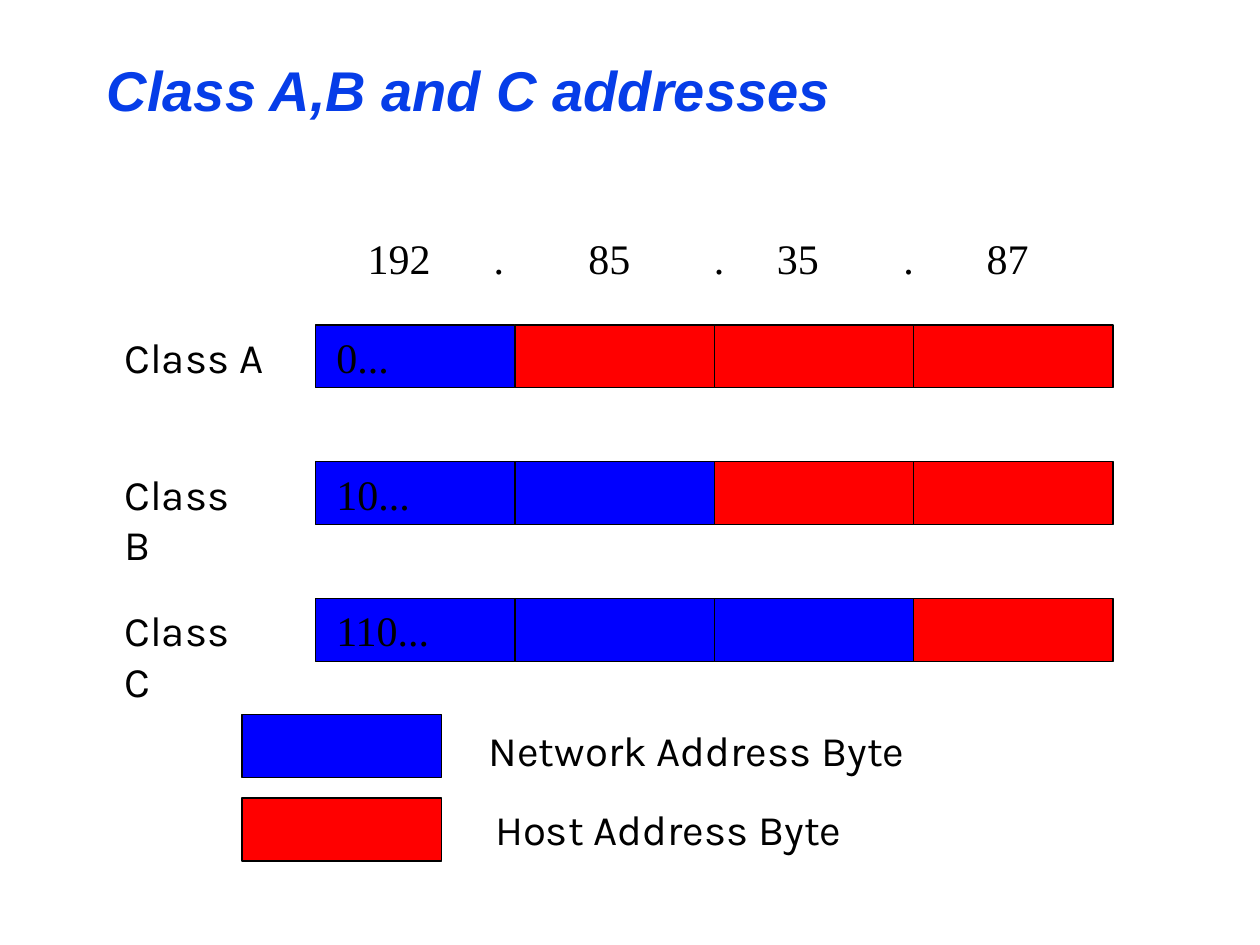
import pptx
import pptx.util
from pptx.dml.color import RGBColor
from pptx.enum.shapes import MSO_SHAPE
from pptx.enum.text import MSO_ANCHOR, PP_ALIGN
from pptx.oxml.xmlchemy import OxmlElement

Cm, Pt = pptx.util.Cm, pptx.util.Pt

# Content
TITLE = "Class A,B and C addresses"
ADDRESS = ["192", ".", "85", ".", "35", ".", "87"]
CLASSES = [  # label, leading bits, number of network bytes
    ("Class A", "0...", 1),
    ("Class B", "10...", 2),
    ("Class C", "110...", 3),
]
LEGEND = [  # kind of byte, label, label left and top in cm
    ("network", "Network Address Byte", 9.6, 14.48),
    ("host", "Host Address Byte", 9.73, 16.08),
]

# Theme
THEME = {
    "network": RGBColor(0x00, 0x00, 0xFF),
    "host": RGBColor(0xFF, 0x00, 0x00),
    "ink": RGBColor(0x00, 0x00, 0x00),
    "title": {"name": "Arial", "size": Pt(32), "bold": True, "italic": True},
    "title_color": RGBColor(0x06, 0x3D, 0xE8),
    "label": {"name": "Karla", "size": Pt(24)},
    "digits": {"name": "Times New Roman", "size": Pt(24)},
}

# Layout in cm
BYTES = 4
BYTE_W, BYTE_H = 4.02, 1.27
GRID_LEFT, GRID_TOP, ROW_PITCH = 6.36, 6.55, 2.76
LABEL_LEFT, LABEL_W = 2.26, 3.3
BITS_LEFT, BITS_W = 6.53, 2.6
ADDRESS_BOX = (7.16, 4.57, 13.84)
ADDRESS_TABS = [2.54, 4.45, 6.98, 8.25, 10.8, 12.48]
LEGEND_LEFT, LEGEND_TOP, LEGEND_PITCH = 4.88, 14.4, 1.69
LEGEND_W = 9.4


def format_font(font, values, color):
    for key, value in values.items():
        setattr(font, key, value)
    font.color.rgb = color


def add_byte(shapes, left, top, kind):
    byte = shapes.add_shape(
        MSO_SHAPE.RECTANGLE, Cm(left), Cm(top), Cm(BYTE_W), Cm(BYTE_H))
    byte.shadow.inherit = False
    byte.fill.solid()
    byte.fill.fore_color.rgb = THEME[kind]
    byte.line.color.rgb = THEME["ink"]
    byte.line.width = Pt(0.75)


def add_text(shapes, left, top, width, text, style):
    box = shapes.add_textbox(Cm(left), Cm(top), Cm(width), Cm(BYTE_H))
    box.text_frame.word_wrap = True
    paragraph = box.text_frame.paragraphs[0]
    run = paragraph.add_run()
    run.text = text
    format_font(run.font, THEME[style], THEME["ink"])
    return paragraph


def add_tabs(paragraph, positions):
    tab_list = OxmlElement("a:tabLst")
    for position in positions:
        tab = OxmlElement("a:tab")
        tab.set("pos", str(int(Cm(position))))
        tab.set("algn", "l")
        tab_list.append(tab)
    paragraph._p.get_or_add_pPr().append(tab_list)


def main():
    deck = pptx.Presentation()
    deck.slide_width, deck.slide_height = Cm(25.4), Cm(19.05)
    slide = deck.slides.add_slide(deck.slide_layouts[5])
    shapes = slide.shapes

    # Title
    title = shapes.title
    title.left, title.top, title.width, title.height = (
        Cm(1.9), Cm(0.84), Cm(21.6), Cm(1.9))
    title.text_frame.text = TITLE
    title.text_frame.vertical_anchor = MSO_ANCHOR.MIDDLE
    heading = title.text_frame.paragraphs[0]
    heading.alignment = PP_ALIGN.LEFT
    format_font(heading.runs[0].font, THEME["title"], THEME["title_color"])

    # One group per address class: four bytes and a label
    for row, (label, bits, network_bytes) in enumerate(CLASSES):
        top = GRID_TOP + row * ROW_PITCH
        group = shapes.add_group_shape()
        for column in range(BYTES):
            kind = "network" if column < network_bytes else "host"
            add_byte(group.shapes, GRID_LEFT + column * BYTE_W, top, kind)
        add_text(group.shapes, LABEL_LEFT, top, LABEL_W, label, "label")
        add_text(shapes, BITS_LEFT, top, BITS_W, bits, "digits")

    # Example address above the bytes
    address = add_text(shapes, *ADDRESS_BOX, "\t".join(ADDRESS), "digits")
    add_tabs(address, ADDRESS_TABS)

    # Legend
    for row, (kind, label, left, top) in enumerate(LEGEND):
        add_byte(shapes, LEGEND_LEFT, LEGEND_TOP + row * LEGEND_PITCH, kind)
        add_text(shapes, left, top, LEGEND_W, label, "label")

    deck.save("out.pptx")


if __name__ == "__main__":
    main()
